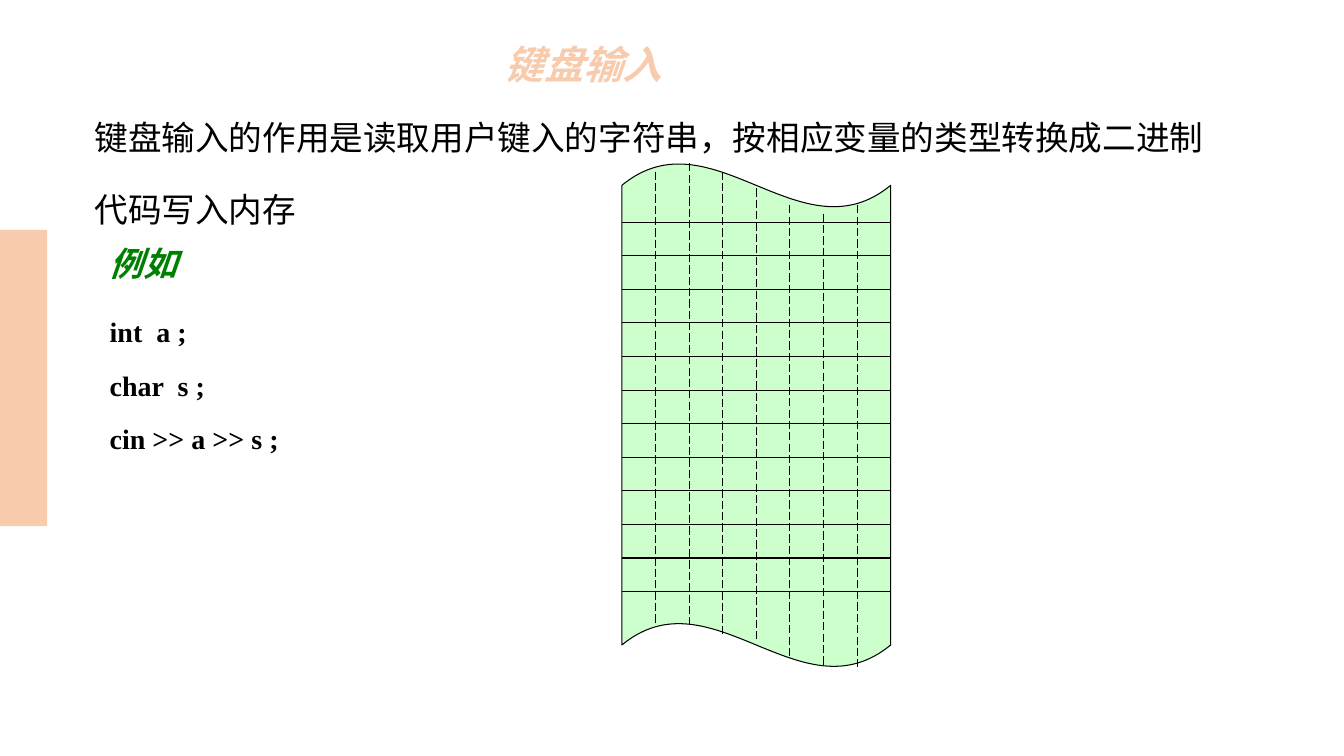
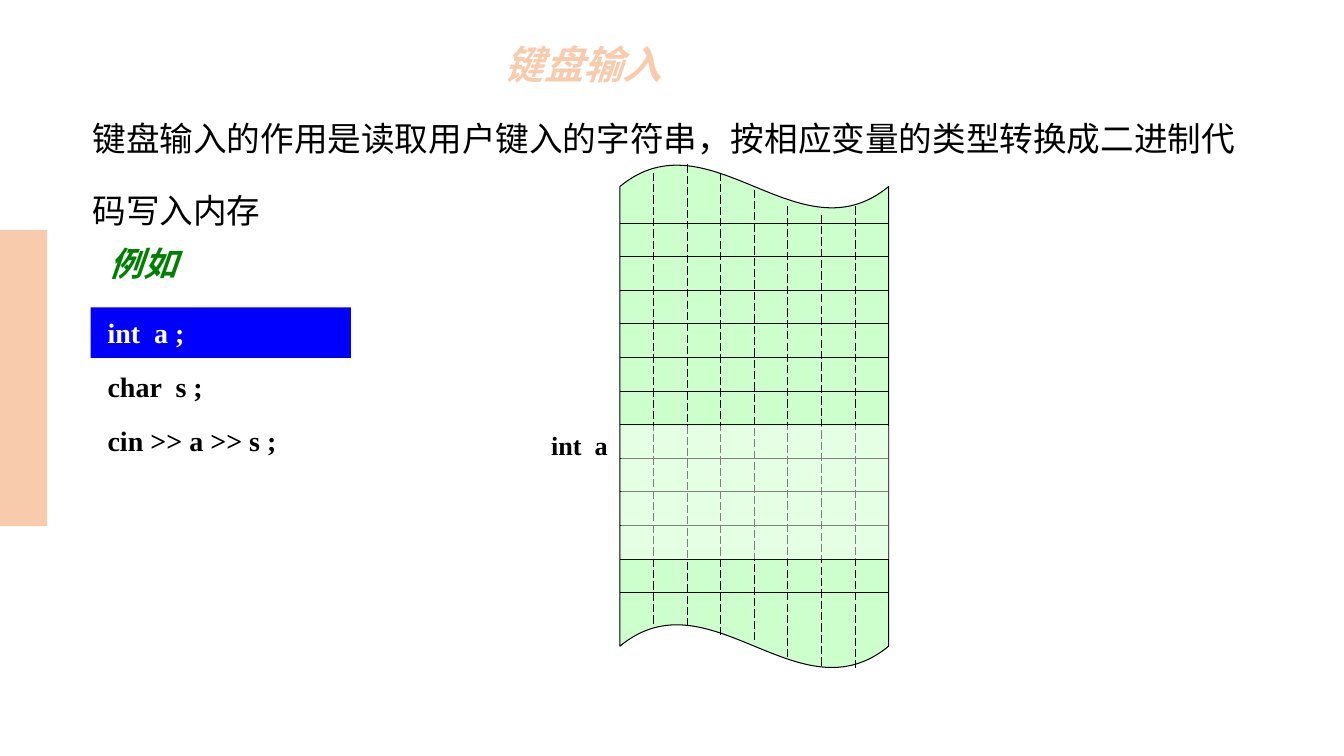
from dataclasses import dataclass

from lxml import etree
from pptx import Presentation
from pptx.dml.color import RGBColor
from pptx.enum.dml import MSO_LINE
from pptx.enum.shapes import MSO_CONNECTOR, MSO_SHAPE
from pptx.enum.text import MSO_ANCHOR, MSO_AUTO_SIZE, PP_ALIGN
from pptx.oxml.ns import qn
from pptx.util import Pt

STRAIGHT = MSO_CONNECTOR.STRAIGHT
LONG_DASH = MSO_LINE.LONG_DASH
RECTANGLE, WAVE = MSO_SHAPE.RECTANGLE, MSO_SHAPE.WAVE
LEFT, MIDDLE, TOP = PP_ALIGN.LEFT, MSO_ANCHOR.MIDDLE, MSO_ANCHOR.TOP
FIT_SHAPE, FIXED = MSO_AUTO_SIZE.SHAPE_TO_FIT_TEXT, MSO_AUTO_SIZE.NONE


@dataclass(frozen=True)
class Theme:
    peach: str = "F8CBAD"
    orange: str = "ED7D31"
    mint: str = "CCFFCC"
    green: str = "008000"
    blue: str = "0000FF"
    black: str = "000000"
    white: str = "FFFFFF"
    chinese: str = "Noto Sans CJK SC"
    latin: str = "Times New Roman"
    title_size: float = 28
    body_size: float = 24
    code_size: float = 20
    label_size: float = 18.7
    hairline: float = 0.75
    title_outline: float = 1.75


THEME = Theme()

# Content
TITLE = "键盘输入"
PURPOSE = "键盘输入的作用是读取用户键入的字符串，按相应变量的类型转换成二进制代码写入内存"
EXAMPLE = "例如"
CODE = ["int  a ;", "char  s ;", "cin >> a >> s ;"]
SLIDES = [
    {"purpose_box": (60.5, 56.9, 825, 104.4), "code_at": (71.3, 206.6),
     "memory_at": (444.2, 116.6), "variable": None},
    {"purpose_box": (59, 57.6, 845.3, 104.4), "code_at": (69.8, 207.4),
     "memory_at": (442.8, 117.4),
     "variable": {"name": "int  a", "code_line": 0, "first_row": 6, "bytes": 4}},
]

# Layout
SLIDE_SIZE = (960, 540)
TITLE_BOX = (353.5, 11.5, 594, 72)
EXAMPLE_BOX = (71.3, 167, 118, 39.6)
CODE_SIZE = (211, 123.8)
SIDE_BAND = (0, 164.2, 33.8, 211.7)
CODE_BAR = (64.8, 219.6, 185.8, 36)
CODE_STEP = 38.4

# Memory strip: one cell is one bit, one row is one byte
CELL = 24
BITS, ROWS = 8, 12
MEMORY_WIDTH, MEMORY_HEIGHT = BITS * CELL, 360
FIRST_ROW = 42
BIT_SPANS = [(6, 330), (0, 330), (6, 336), (18, 342), (30, 354), (36, 360), (30, 360)]


def points(values):
    return [Pt(value) for value in values]


def color(hex_code):
    return RGBColor.from_string(hex_code)


def write(frame, text, *, size, fill, font=THEME.latin, bold=False, italic=False,
          spacing=1.0, outline=None, anchor=TOP, wrap=True, special=None):
    """Write one line or a list of lines; special maps a line index to its colour."""
    frame.word_wrap = wrap
    frame.auto_size = FIXED if wrap else FIT_SHAPE
    frame.vertical_anchor = anchor
    lines = [text] if isinstance(text, str) else text
    for index, line in enumerate(lines):
        paragraph = frame.add_paragraph() if index else frame.paragraphs[0]
        paragraph.alignment = LEFT
        paragraph.line_spacing = spacing
        paragraph.space_before = Pt(0)
        run = paragraph.add_run()
        run.text = line
        style = run.font
        style.name, style.size = font, Pt(size)
        style.bold, style.italic = bold, italic
        style.color.rgb = color((special or {}).get(index, fill))
        properties = run._r.get_or_add_rPr()
        etree.SubElement(properties, qn("a:ea"), typeface=THEME.chinese)
        if outline:
            edge = etree.Element(qn("a:ln"), w=str(Pt(THEME.title_outline)))
            solid = etree.SubElement(edge, qn("a:solidFill"))
            etree.SubElement(solid, qn("a:srgbClr"), val=outline)
            properties.insert(0, edge)


def add_text(slide, box, text, **style):
    write(slide.shapes.add_textbox(*points(box)).text_frame, text, **style)


def add_block(shapes, preset, box, fill, line=None, alpha=None):
    block = shapes.add_shape(preset, *points(box))
    block.shadow.inherit = False
    block.fill.solid()
    block.fill.fore_color.rgb = color(fill)
    if alpha is not None:
        tint = block._element.spPr.find(qn("a:solidFill"))[0]
        etree.SubElement(tint, qn("a:alpha"), val=str(alpha * 1000))
    if line:
        block.line.color.rgb = color(line)
        block.line.width = Pt(THEME.hairline)
    else:
        block.line.fill.background()
    return block


def add_rule(shapes, ends, dash=None):
    rule = shapes.add_connector(STRAIGHT, *points(ends))
    rule.line.color.rgb = color(THEME.black)
    rule.line.width = Pt(THEME.hairline)
    if dash:
        rule.line.dash_style = dash
    etree.SubElement(rule._element.spPr, qn("a:effectLst"))


def add_memory(slide, left, top):
    strip = slide.shapes.add_group_shape().shapes
    wave = add_block(strip, WAVE, (left, top, MEMORY_WIDTH, MEMORY_HEIGHT),
                     THEME.mint, line=THEME.black)
    wave.adjustments[0] = 0.044
    wave.adjustments[1] = 0
    for row in range(ROWS):
        y = top + FIRST_ROW + row * CELL
        add_rule(strip, (left, y, left + MEMORY_WIDTH, y))
    for bit, (start, end) in enumerate(BIT_SPANS, 1):
        x = left + bit * CELL
        add_rule(strip, (x, top + start, x, top + end), dash=LONG_DASH)


def add_variable(slide, variable, left, top):
    """Label the bytes of a variable and lighten them."""
    y = top + FIRST_ROW + variable["first_row"] * CELL
    add_text(slide, (left - 56.2, y, 55.4, 30.2), variable["name"],
             size=THEME.label_size, fill=THEME.black, bold=True, wrap=False)
    add_block(slide.shapes, RECTANGLE,
              (left + 1, y + 1, MEMORY_WIDTH - 1, variable["bytes"] * CELL - 1),
              THEME.white, alpha=50)


def build_slide(deck, content):
    slide = deck.slides.add_slide(deck.slide_layouts.get_by_name("Title Only"))
    variable = content["variable"]

    # Shared title and side band
    title = slide.shapes.title
    title.left, title.top, title.width, title.height = points(TITLE_BOX)
    write(title.text_frame, TITLE, size=THEME.title_size, fill=THEME.peach,
          font=THEME.chinese, bold=True, italic=True, spacing=0.9,
          outline=THEME.orange, anchor=MIDDLE)
    add_block(slide.shapes, RECTANGLE, SIDE_BAND, THEME.peach)

    # Explanation and code
    special = {}
    if variable:
        line = variable["code_line"]
        special[line] = THEME.white
        x, y, width, height = CODE_BAR
        add_block(slide.shapes, RECTANGLE, (x, y + line * CODE_STEP, width, height),
                  THEME.blue)
    add_text(slide, content["purpose_box"], PURPOSE, size=THEME.body_size,
             fill=THEME.black, font=THEME.chinese, spacing=1.8)
    add_text(slide, EXAMPLE_BOX, EXAMPLE, size=THEME.body_size, fill=THEME.green,
             bold=True, italic=True, spacing=1.1)
    add_text(slide, content["code_at"] + CODE_SIZE, CODE, size=THEME.code_size,
             fill=THEME.black, bold=True, spacing=1.6, special=special)

    # Memory
    add_memory(slide, *content["memory_at"])
    if variable:
        add_variable(slide, variable, *content["memory_at"])


def main():
    deck = Presentation()
    deck.slide_width, deck.slide_height = points(SLIDE_SIZE)
    for content in SLIDES:
        build_slide(deck, content)
    deck.save("out.pptx")


if __name__ == "__main__":
    main()
